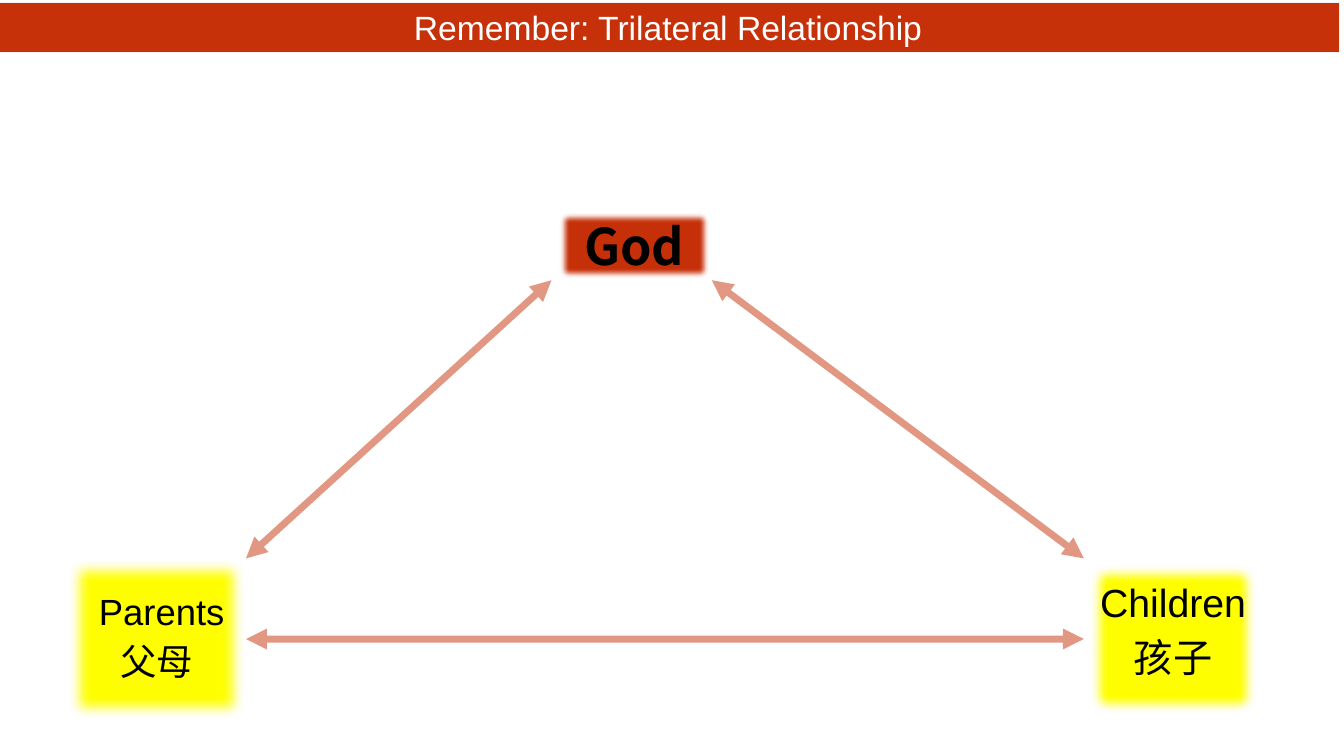
"""Build a slide showing the trilateral relationship of God, parents and children."""
from pptx import Presentation
from pptx.dml.color import RGBColor
from pptx.enum import shapes, text
from pptx.oxml import ns, xmlchemy
from pptx.util import Inches, Pt

COLORS = {"red": "C73109", "yellow": "FFFF00", "black": "000000",
          "white": "FFFFFF", "edge": "F2F2F2"}


def add_xml(parent, tag, **attributes):
    child = xmlchemy.OxmlElement(tag)
    for key, value in attributes.items():
        child.set(key, str(value))
    parent.append(child)
    return child


def fill_box(box, place, fill, edge, lines, size, font, color, top, soft):
    box.left, box.top, box.width, box.height = [Inches(n) for n in place]
    box.fill.solid()
    box.fill.fore_color.rgb = RGBColor.from_string(COLORS[fill])
    if edge:
        box.line.color.rgb = RGBColor.from_string(COLORS[edge])
        box.line.width = Pt(0.75)
    else:
        box.line.fill.background()
    box.shadow.inherit = False
    if soft:
        effects = box._element.spPr.find(ns.qn("a:effectLst"))
        add_xml(effects, "a:softEdge", rad=Pt(soft))
    frame = box.text_frame
    frame.word_wrap = True
    frame.auto_size = text.MSO_AUTO_SIZE.NONE
    frame.margin_left = frame.margin_right = Inches(0.1)
    frame.margin_top, frame.margin_bottom = Inches(top), Inches(0.05)
    many = len(lines) > 1
    frame.vertical_anchor = text.MSO_ANCHOR.TOP if many else text.MSO_ANCHOR.MIDDLE
    for number, line in enumerate(lines):
        paragraph = frame.add_paragraph() if number else frame.paragraphs[0]
        paragraph.alignment = text.PP_ALIGN.CENTER
        paragraph.space_before = Pt(size * 0.2 if many else 0)
        properties = paragraph._p.get_or_add_pPr()
        properties.set("marL", "0")
        properties.set("indent", "0")
        add_xml(properties, "a:buNone")
        run = paragraph.add_run()
        run.text = line
        run.font.size = Pt(size)
        run.font.name = font
        run.font.bold = line == "God"
        run.font.color.rgb = RGBColor.from_string(COLORS[color])


deck = Presentation()
deck.slide_width, deck.slide_height = Inches(13.33), Inches(7.5)
slide = deck.slides.add_slide(deck.slide_layouts[1])

heading = slide.shapes.title
parents = slide.placeholders[1]
god, children = [
    slide.shapes.add_shape(shapes.MSO_SHAPE.RECTANGLE, 0, 0, 0, 0) for _ in range(2)]

for box, *settings in (
    (heading, (-0.04, 0.02, 13.33, 0.5), "red", "edge",
     ["Remember: Trilateral Relationship"], 24, "Arial", "white", 0.05, 0),
    (parents, (0.67, 5.54, 1.77, 1.6), "yellow", None,
     [" Parents", "父母"], 26, "Arial", "black", 0.3, 9),
    (god, (5.52, 2.08, 1.54, 0.71), "red", "black",
     ["God"], 36, "Noto Sans CJK TC", "black", 0.05, 5),
    (children, (10.75, 5.54, 1.77, 1.6), "yellow", None,
     ["Children", "孩子"], 28, "Arial", "black", 0.2, 9),
):
    fill_box(box, *settings)

bonds = []
for ends in ((7.06, 2.78, 10.75, 5.54), (5.47, 2.78, 2.44, 5.54),
             (2.44, 6.34, 10.75, 6.34)):
    bond = slide.shapes.add_connector(
        shapes.MSO_CONNECTOR.STRAIGHT, *[Inches(n) for n in ends])
    bond.line.color.rgb = RGBColor.from_string(COLORS["red"])
    bond.line.width = Pt(5)
    properties = bond._element.spPr
    stroke = properties.find(ns.qn("a:ln"))
    add_xml(stroke.find(".//" + ns.qn("a:srgbClr")), "a:alpha", val=50000)
    for end in ("a:headEnd", "a:tailEnd"):
        add_xml(stroke, end, type="triangle")
    add_xml(properties, "a:effectLst")
    bonds.append(bond)

bonds[-1].begin_connect(parents, 3)
bonds[-1].end_connect(children, 1)

deck.save("out.pptx")
